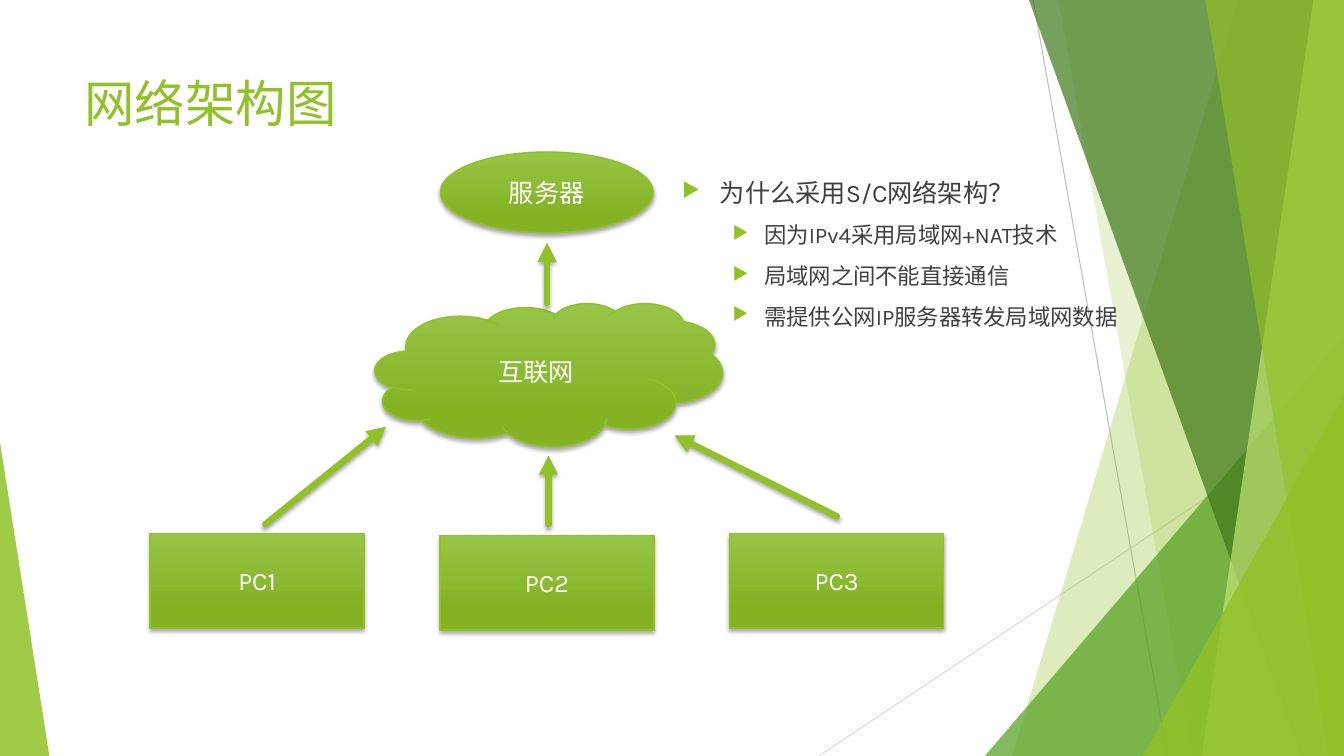
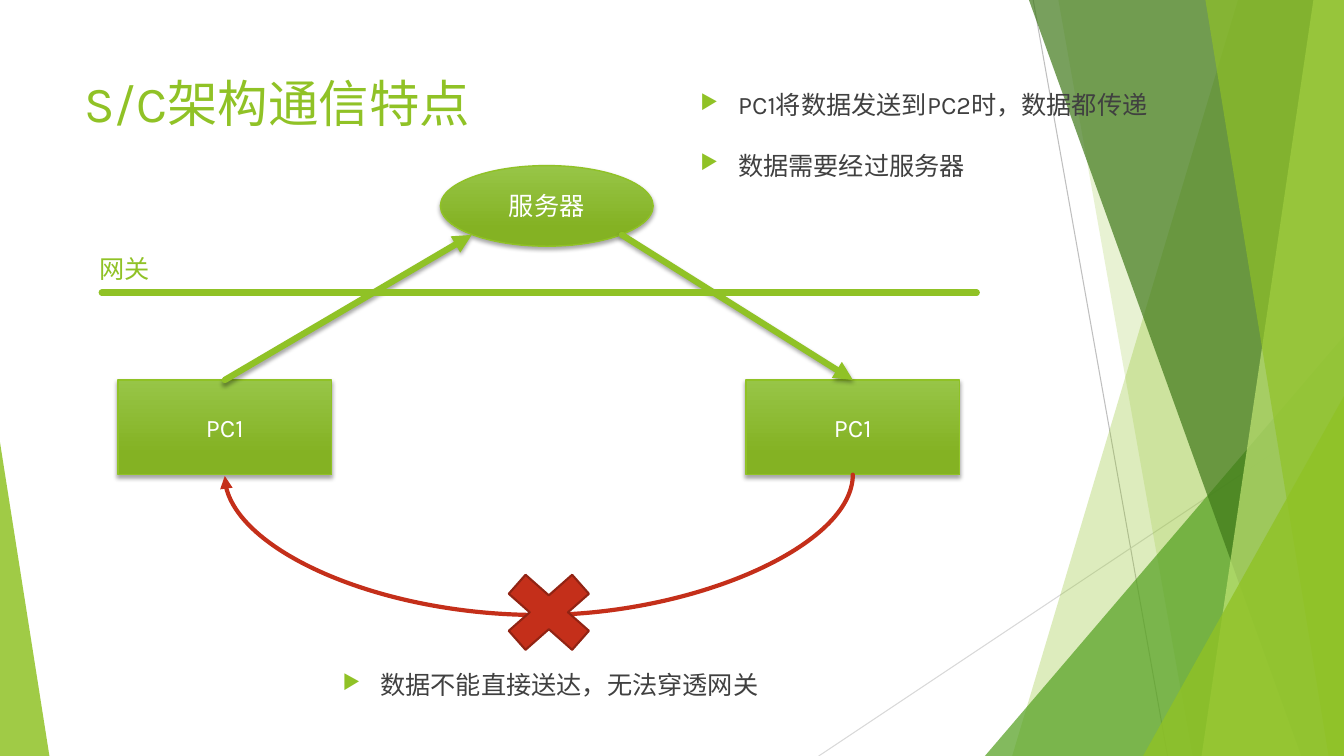
from lxml import etree
from pptx import Presentation
from pptx.dml.color import RGBColor
from pptx.enum import shapes as es, text as et
from pptx.oxml.ns import qn
from pptx.util import Pt

WIDTH, HEIGHT = 960, 540
FONT = "Karla"
GREEN, WHITE, INK = "90C226", "FFFFFF", "404040"
RED, DARK_RED = "C42F1A", "912313"
NODE_GRADIENT = ((0, "97C547"), (0.78, "84B223"))
OVAL, CLOUD, BOX = (es.MSO_SHAPE.OVAL, es.MSO_SHAPE.CLOUD,
                    es.MSO_SHAPE.RECTANGLE)
BOX_W, BOX_H = 152.8, 67.6
SERVER_X, SERVER_W, SERVER_H = 314.6, 152, 57.6

# Backdrop, back to front
HAIRLINES = [((738, 0), (834, HEIGHT), "BFBFBF"),
             ((WIDTH, 290), (584.8, HEIGHT), "D9D9D9")]
# band: top x, bottom x, colour, opacity
# corner: left, top, width, apex (0 left, 1 right), colour, opacity
BACKDROP = [
    ("band", 884.3, 723, GREEN, 30),
    ("band", 756, 851.8, GREEN, 20),
    ("corner", 703.5, 240, 256.5, 1, "54A021", 72),
    ("band", 735, 929.5, "3F7819", 70),
    ("band", 938.2, 858.3, "C0E474", 70),
    ("band", 861, 949, GREEN, 65),
    ("corner", 816.5, 283, 143.5, 1, GREEN, 80),
    ("corner", 0, 316, 35.3, 0, GREEN, 85),
]

# An arrow end is a point, or the index of the node whose top it joins
ARCHITECTURE = {
    "title": "网络架构图",
    "nodes": [
        (OVAL, "服务器", SERVER_X, 108.6, SERVER_W, SERVER_H),
        (CLOUD, "互联网", 267.8, 216.5, 248.4, 102.2),
    ] + [(BOX, f"PC{i + 1}", 107.3 + 207 * i, top, BOX_W, BOX_H)
         for i, top in enumerate((380.9, 382.3, 380.9))],
    "arrows": [
        ((189.4, 374.5), (275.8, 304.8)),
        ((597.8, 368.8), (481.8, 311)),
        ((391.8, 374.5), (391.8, 325.5)),
        ((390.8, 216.7), (390.8, 173.5)),
    ],
    "bullets": [
        (480.2, 123.1, 430, 136, [
            (0, "为什么采用S/C网络架构？"),
            (1, "因为IPv4采用局域网+NAT技术"),
            (1, "局域网之间不能直接通信"),
            (1, "需提供公网IP服务器转发局域网数据"),
        ]),
    ],
}
COMMUNICATION = {
    "title": "S/C架构通信特点",
    "nodes": [
        (OVAL, "服务器", SERVER_X, 118.3, SERVER_W, SERVER_H),
        (BOX, "PC1", 84.2, 271.4, BOX_W, BOX_H),
        (BOX, "PC1", 532.8, 271.4, BOX_W, BOX_H),
    ],
    "arrows": [(1, (337, 167.8)), ((444.2, 167.8), 2)],
    "bullets": [
        (493.2, 60.5, 352.8, 33.1, [(0, "PC1将数据发送到PC2时，数据都传递")]),
        (493.2, 103.7, 352.8, 33.1, [(0, "数据需要经过服务器")]),
        (237.6, 474.5, 352.8, 33.1, [(0, "数据不能直接送达，无法穿透网关")]),
    ],
}
# Per bullet level: left margin, hanging indent, text size
LEVELS = [(27, 27, 18), (58.5, 22.5, 16)]


def rgb(color):
    return RGBColor.from_string(color)


def points(*values):
    return [Pt(value) for value in values]


def add_xml(parent, tag, **attributes):
    return etree.SubElement(parent, qn(tag), attributes)


def set_effects(shape, shadow):
    """Replace the theme shadow with a soft drop shadow, or with none."""
    properties = shape._element.spPr
    effects = add_xml(properties, "a:effectLst")
    if shadow:
        outer = add_xml(effects, "a:outerShdw", blurRad=str(Pt(3)),
                        dist=str(Pt(2)), dir="5400000", rotWithShape="0")
        black = add_xml(outer, "a:srgbClr", val="000000")
        add_xml(black, "a:alpha", val="35000")


def set_line(shape, color, width):
    shape.line.color.rgb = rgb(color)
    shape.line.width = Pt(width)


def add_run(paragraph, words, size, color):
    run = paragraph.add_run()
    run.text = words
    run.font.size = Pt(size)
    run.font.name = FONT
    run.font.color.rgb = rgb(color)


def add_centred(frame, words, color):
    frame.vertical_anchor = et.MSO_ANCHOR.MIDDLE
    frame.paragraphs[0].alignment = et.PP_ALIGN.CENTER
    add_run(frame.paragraphs[0], words, 18, color)


def add_text_frame(slide, *box):
    frame = slide.shapes.add_textbox(*points(*box)).text_frame
    frame.word_wrap = True
    return frame


def add_line(slide, start, end, color, width, arrow=False, shadow=False,
             kind=es.MSO_CONNECTOR.STRAIGHT):
    line = slide.shapes.add_connector(kind, *points(*start, *end))
    set_line(line, color, width)
    outline = line.line._get_or_add_ln()
    outline.set("cap", "rnd")
    if arrow:
        add_xml(outline, "a:tailEnd", type="triangle")
    set_effects(line, shadow)
    return line


def add_backdrop(slide):
    for start, end, color in HAIRLINES:
        add_line(slide, start, end, color, 0.75)
    for kind, *place, color, opacity in BACKDROP:
        if kind == "band":
            top_x, bottom_x = place
            builder = slide.shapes.build_freeform(*points(top_x, 0))
            corners = [(WIDTH, 0), (WIDTH, HEIGHT), (bottom_x, HEIGHT)]
            builder.add_line_segments([points(*c) for c in corners])
            shape = builder.convert_to_shape()
        else:
            left, top, width, apex = place
            shape = slide.shapes.add_shape(
                es.MSO_SHAPE.ISOSCELES_TRIANGLE,
                *points(left, top, width, HEIGHT - top))
            shape.adjustments[0] = apex
        shape.fill.solid()
        shape.fill.fore_color.rgb = rgb(color)
        tint = shape._element.spPr.find(".//" + qn("a:srgbClr"))
        add_xml(tint, "a:alpha", val=str(opacity * 1000))
        shape.line.fill.background()
        shape.shadow.inherit = False


def add_node(slide, kind, label, *box):
    node = slide.shapes.add_shape(kind, *points(*box))
    node.fill.gradient()
    node.fill.gradient_angle = 270
    for stop, (position, color) in zip(node.fill.gradient_stops,
                                       NODE_GRADIENT):
        stop.position = position
        stop.color.rgb = rgb(color)
    set_line(node, GREEN, 1)
    set_effects(node, shadow=True)
    add_centred(node.text_frame, label, WHITE)
    return node


def add_arrow(slide, nodes, start, end):
    ends = [(0, 0) if isinstance(p, int) else p for p in (start, end)]
    arrow = add_line(slide, *ends, GREEN, 4.5, arrow=True, shadow=True)
    if isinstance(start, int):
        arrow.begin_connect(nodes[start], 0)
    if isinstance(end, int):
        arrow.end_connect(nodes[end], 0)


def add_bullets(slide, left, top, width, height, items):
    frame = add_text_frame(slide, left, top, width, height)
    for i, (level, words) in enumerate(items):
        paragraph = frame.add_paragraph() if i else frame.paragraphs[0]
        margin, hanging, size = LEVELS[level]
        paragraph.level = level
        paragraph.space_before = Pt(10)
        properties = paragraph._p.get_or_add_pPr()
        properties.set("marL", str(Pt(margin)))
        properties.set("indent", str(-Pt(hanging)))
        add_xml(add_xml(properties, "a:buClr"), "a:srgbClr", val=GREEN)
        add_xml(properties, "a:buSzPct", val="80000")
        add_xml(properties, "a:buChar", char="▶")
        add_run(paragraph, words, size, INK)


def add_blocked_route(slide, sender, receiver):
    """Draw the crossed-out curve that sags below the two boxes."""
    route = add_line(slide, (0, 0), (0, 0), RED, 3, arrow=True,
                     kind=es.MSO_CONNECTOR.CURVE)
    route.begin_connect(sender, 2)
    route.end_connect(receiver, 2)
    # The curve is a 1 pt wide upright connector, turned on its side
    span = receiver.left - sender.left
    middle_x = sender.left + (sender.width + span) // 2
    bottom = sender.top + sender.height
    route.left, route.top = middle_x - Pt(0.5), bottom + Pt(0.5) - span // 2
    route.width, route.height = Pt(1), span
    frame = route._element.spPr.find(qn("a:xfrm"))
    frame.set("rot", "16200000")
    frame.set("flipH", "1")
    guides = route._element.spPr.find(".//" + qn("a:avLst"))
    add_xml(guides, "a:gd", name="adj1", fmla="val 10107700")

    cross = slide.shapes.add_shape(es.MSO_SHAPE.MATH_MULTIPLY,
                                   *points(348.5, 398.9, 87.1, 77))
    cross.fill.solid()
    cross.fill.fore_color.rgb = rgb(RED)
    set_line(cross, DARK_RED, 1.5)
    cross.shadow.inherit = False


def add_gateway(slide):
    add_line(slide, (72.7, 209), (697.7, 209), GREEN, 4.5)
    add_centred(add_text_frame(slide, 53.3, 169.9, 72, 43.9), "网关", GREEN)


def add_diagram_slide(deck, content):
    slide = deck.slides.add_slide(deck.slide_layouts[6])
    add_backdrop(slide)
    title = add_text_frame(slide, 53.3, 48.2, 676.8, 57.6)
    add_run(title.paragraphs[0], content["title"], 36, GREEN)
    nodes = [add_node(slide, *node) for node in content["nodes"]]
    for start, end in content["arrows"]:
        add_arrow(slide, nodes, start, end)
    for block in content["bullets"]:
        add_bullets(slide, *block)
    return slide, nodes


def main():
    deck = Presentation()
    deck.slide_width, deck.slide_height = points(WIDTH, HEIGHT)
    add_diagram_slide(deck, ARCHITECTURE)
    slide, (server, sender, receiver) = add_diagram_slide(deck, COMMUNICATION)
    add_blocked_route(slide, sender, receiver)
    add_gateway(slide)
    deck.save("out.pptx")


if __name__ == "__main__":
    main()
